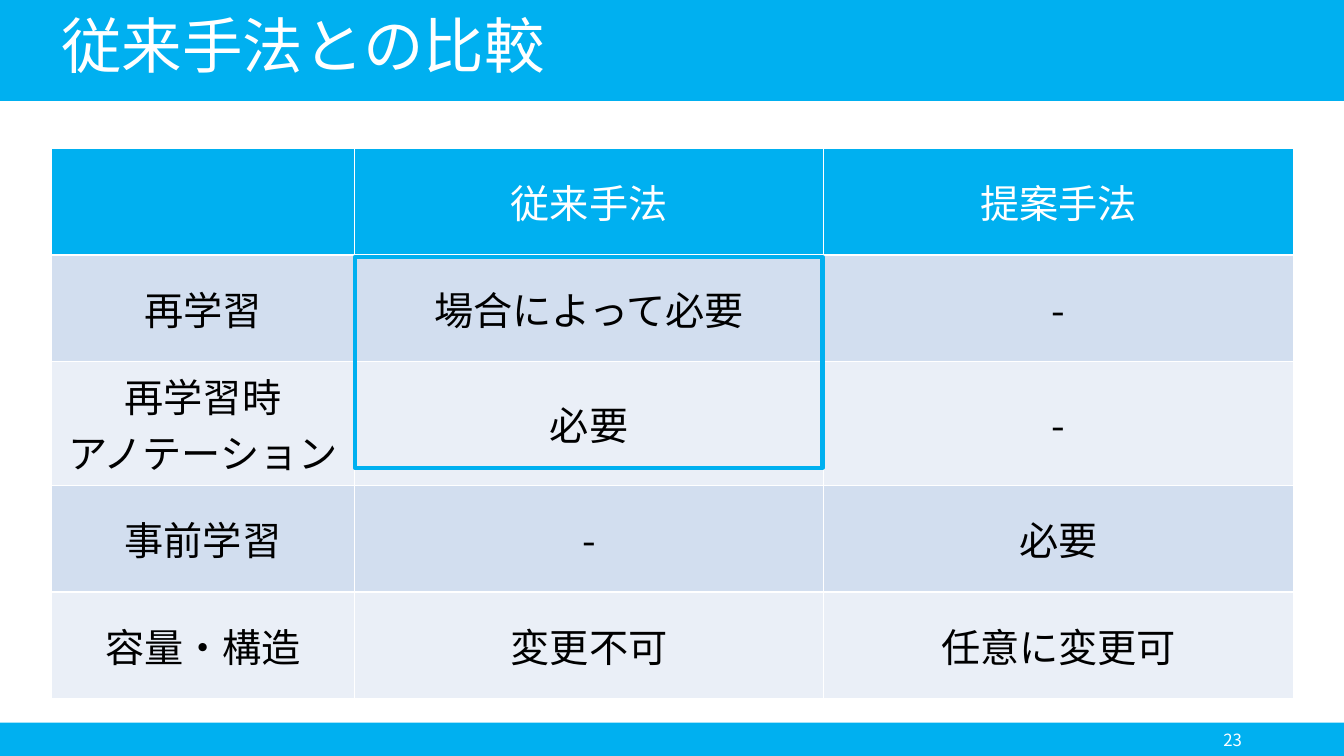
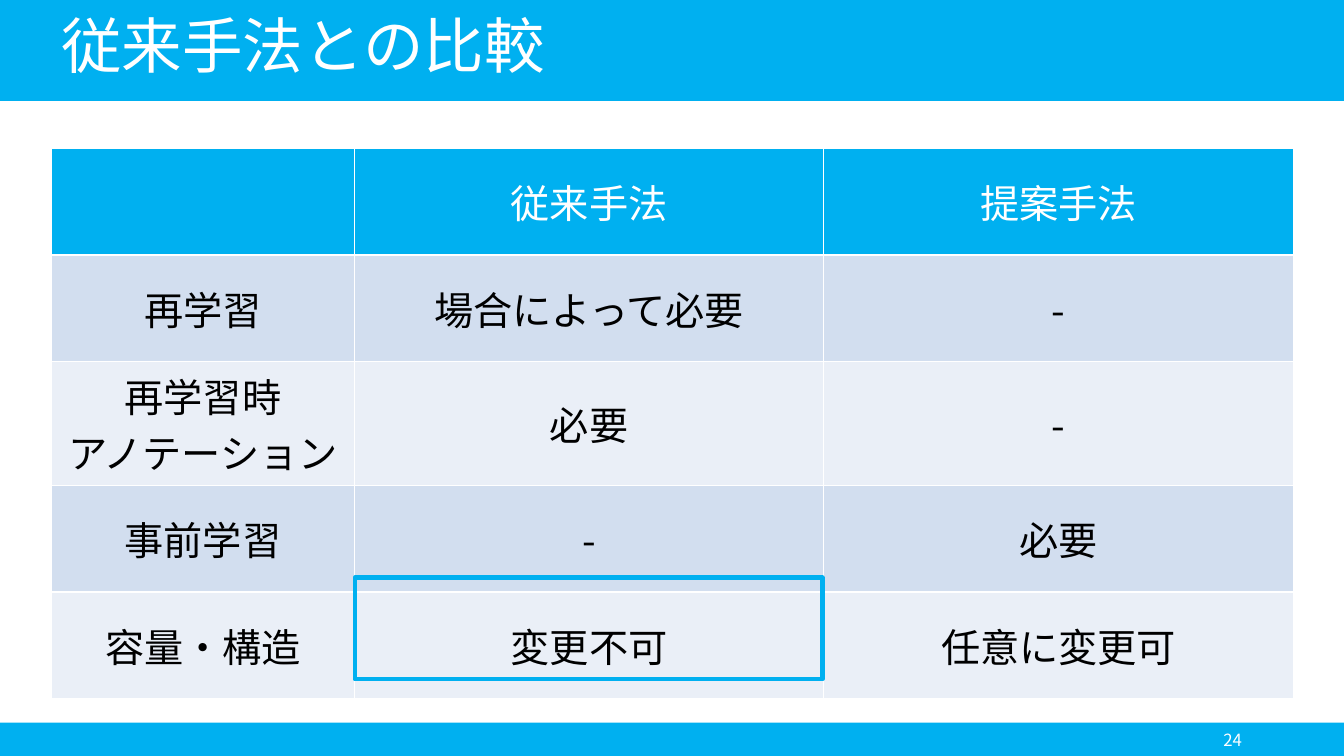
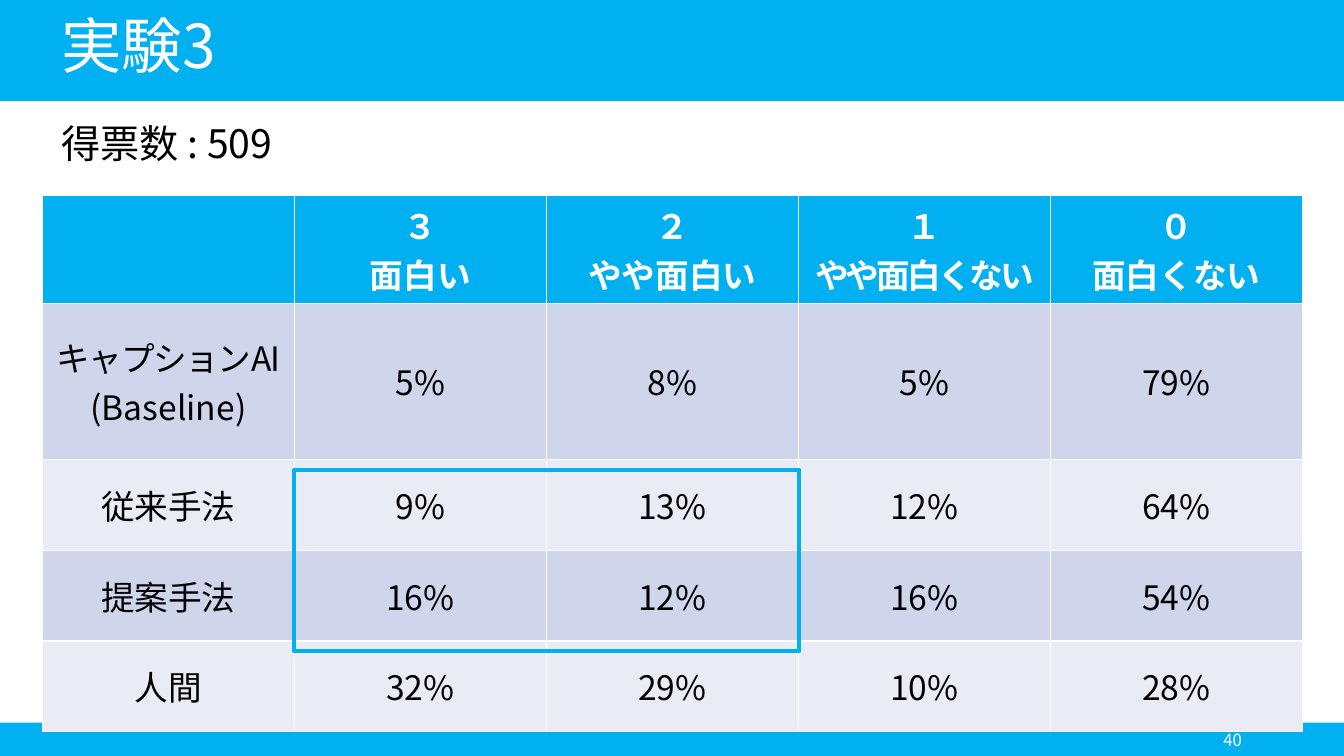
import dataclasses
import typing

import pptx
import pptx.dml.color
import pptx.enum.shapes
import pptx.enum.text
import pptx.oxml.ns
import pptx.presentation
import pptx.shapes.autoshape
import pptx.slide
import pptx.text.text
import pptx.util

Pt = pptx.util.Pt
Align = pptx.enum.text.PP_ALIGN
Anchor = pptx.enum.text.MSO_ANCHOR


@dataclasses.dataclass(frozen=True)
class Theme:
    font: str = "Noto Sans CJK JP"
    accent: str = "00B0F0"
    light: str = "FFFFFF"
    dark: str = "000000"
    title_size: float = 43.2
    body_size: float = 28
    score_size: float = 24
    number_size: float = 12
    rule: float = 3


THEME = Theme()


class Box(typing.NamedTuple):
    left: float
    top: float
    width: float
    height: float

    def lengths(self) -> list[pptx.util.Length]:
        return [Pt(value) for value in self]


@dataclasses.dataclass(frozen=True)
class Grid:
    """A table: its first row is the header, and tracking maps a line to its letter spacing."""
    left: float
    top: float
    columns: tuple[float, ...]
    heights: tuple[float, ...]
    rows: tuple[tuple[str, ...], ...]
    bands: tuple[str, str]
    size: float
    bold_header: bool = False
    tracking: dict[str, float] = dataclasses.field(default_factory=dict)


@dataclasses.dataclass(frozen=True)
class Page:
    title: str
    number: int
    grid: Grid
    highlight: Box
    lead: str = ""


TITLE_BOX = Box(36.72, 7.2, 887.04, 56.16)
NUMBER_BOX = Box(678.24, 518.4, 216, 20.16)
LEAD_BOX = Box(36.72, 85.68, 913.68, 46)
BANDS = (Box(-0.72, -0.72, 961.2, 72.72), Box(-0.72, 516.24, 961.2, 25.92))

METHODS = Grid(
    left=36.72, top=105.84,
    columns=(216.4, 335.3, 335.3), heights=(76.32,) * 5,
    rows=(
        ("", "従来手法", "提案手法"),
        ("再学習", "場合によって必要", "-"),
        ("再学習時\nアノテーション", "必要", "-"),
        ("事前学習", "-", "必要"),
        ("容量・構造", "変更不可", "任意に変更可"),
    ),
    bands=("D2DEEF", "EAEFF7"), size=THEME.body_size,
)

SCORES = Grid(
    left=30.24, top=139.68,
    columns=(180,) * 5, heights=(48.96,) + (64.8,) * 4,
    rows=(
        ("", "３\n面白い", "２\nやや面白い", "１\nやや面白くない", "０\n面白くない"),
        ("キャプションAI\n(Baseline)", "5%", "8%", "5%", "79%"),
        ("従来手法", "9%", "13%", "12%", "64%"),
        ("提案手法", "16%", "12%", "16%", "54%"),
        ("人間", "32%", "29%", "10%", "28%"),
    ),
    bands=("CFD5EA", "E9EBF5"), size=THEME.score_size, bold_header=True,
    tracking={"やや面白くない": -2, "キャプションAI": -1},
)

PAGES = (
    Page("従来手法との比較", 23, METHODS, Box(253.44, 183.6, 334.08, 150.48)),
    Page("従来手法との比較", 24, METHODS, Box(253.44, 412.56, 334.08, 72.72)),
    Page("実験3", 40, SCORES, Box(210.24, 335.52, 360.72, 129.6), lead="得票数 : 509"),
)


def rgb(code: str) -> pptx.dml.color.RGBColor:
    return pptx.dml.color.RGBColor.from_string(code)


def write(frame: pptx.text.text.TextFrame, text: str, *, size: float, color: str,
          align: Align = Align.LEFT, bold: bool = False, spacing: float = 1,
          tracking: typing.Optional[dict[str, float]] = None) -> None:
    """Fill a text frame with one paragraph for each line of the text."""
    for index, line in enumerate(text.split("\n")):
        para = frame.add_paragraph() if index else frame.paragraphs[0]
        para.alignment = align
        para.line_spacing = spacing
        span = para.add_run()
        span.text = line
        span.font.name = THEME.font
        span.font.size = Pt(size)
        span.font.bold = bold
        span.font.color.rgb = rgb(color)
        properties = span._r.get_or_add_rPr()
        east_asian = properties.makeelement(pptx.oxml.ns.qn("a:ea"), {"typeface": THEME.font})
        properties.find(pptx.oxml.ns.qn("a:latin")).addnext(east_asian)
        if tracking and line in tracking:
            properties.set("spc", str(round(tracking[line] * 100)))


def add_text(page: pptx.slide.Slide, box: Box, text: str, *, anchor: Anchor = Anchor.TOP,
             **style: typing.Any) -> None:
    frame = page.shapes.add_textbox(*box.lengths()).text_frame
    frame.word_wrap = True
    frame.vertical_anchor = anchor
    write(frame, text, **style)


def add_rectangle(page: pptx.slide.Slide, box: Box, *, fill: str = "",
                  line: str = "") -> pptx.shapes.autoshape.Shape:
    shape = page.shapes.add_shape(pptx.enum.shapes.MSO_SHAPE.RECTANGLE, *box.lengths())
    shape.shadow.inherit = False
    if fill:
        shape.fill.solid()
        shape.fill.fore_color.rgb = rgb(fill)
    else:
        shape.fill.background()
    if line:
        shape.line.color.rgb = rgb(line)
        shape.line.width = Pt(THEME.rule)
    else:
        shape.line.fill.background()
    return shape


def add_layout_bands(page: pptx.slide.Slide) -> None:
    """Draw the bands and move them to the layout, so that every page shows them."""
    for index, box in enumerate(BANDS):
        band = add_rectangle(page, box, fill=THEME.accent)
        band.name = f"Band {index + 1}"
        band.element.nvSpPr.cNvPr.id = 20 + index
        page.slide_layout.shapes.element.append(band.element)


def set_title(page: pptx.slide.Slide, text: str) -> None:
    title = page.shapes.title
    title.left, title.top, title.width, title.height = TITLE_BOX.lengths()
    frame = title.text_frame
    frame.auto_size = pptx.enum.text.MSO_AUTO_SIZE.NONE
    frame.word_wrap = True
    frame.vertical_anchor = Anchor.MIDDLE
    write(frame, text, size=THEME.title_size, color=THEME.light, spacing=0.9)


def add_grid(page: pptx.slide.Slide, grid: Grid) -> None:
    box = Box(grid.left, grid.top, sum(grid.columns), sum(grid.heights))
    table = page.shapes.add_table(len(grid.rows), len(grid.columns), *box.lengths()).table
    for column, width in zip(table.columns, grid.columns):
        column.width = Pt(width)
    for row, height in zip(table.rows, grid.heights):
        row.height = Pt(height)
    for row_index, texts in enumerate(grid.rows):
        header = row_index == 0
        for column_index, text in enumerate(texts):
            cell = table.cell(row_index, column_index)
            cell.fill.solid()
            cell.fill.fore_color.rgb = rgb(
                THEME.accent if header else grid.bands[(row_index - 1) % 2])
            cell.vertical_anchor = Anchor.MIDDLE
            if text:
                write(cell.text_frame, text, size=grid.size, align=Align.CENTER,
                      color=THEME.light if header else THEME.dark,
                      bold=header and grid.bold_header, tracking=grid.tracking)


def add_page(deck: pptx.presentation.Presentation, content: Page) -> pptx.slide.Slide:
    page = deck.slides.add_slide(deck.slide_layouts.get_by_name("Title Only"))
    set_title(page, content.title)
    add_grid(page, content.grid)
    add_text(page, NUMBER_BOX, str(content.number), anchor=Anchor.MIDDLE,
             size=THEME.number_size, color=THEME.light, align=Align.RIGHT)
    add_rectangle(page, content.highlight, line=THEME.accent)
    if content.lead:
        add_text(page, LEAD_BOX, content.lead, size=THEME.body_size,
                 color=THEME.dark, spacing=0.9)
    return page


def main() -> None:
    deck = pptx.Presentation()
    deck.slide_width, deck.slide_height = Pt(960), Pt(540)
    pages = [add_page(deck, content) for content in PAGES]
    add_layout_bands(pages[0])
    deck.save("out.pptx")


if __name__ == "__main__":
    main()
